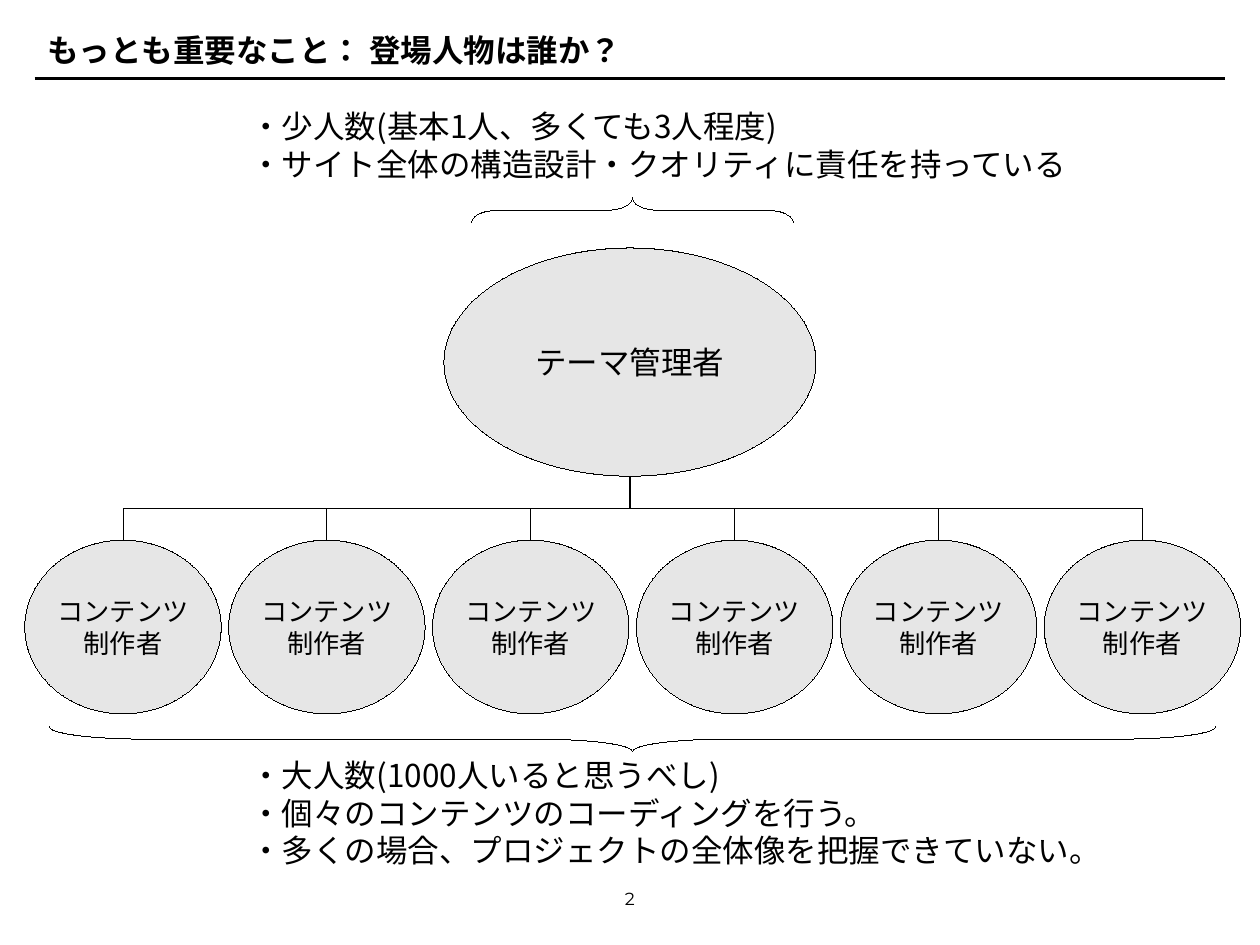
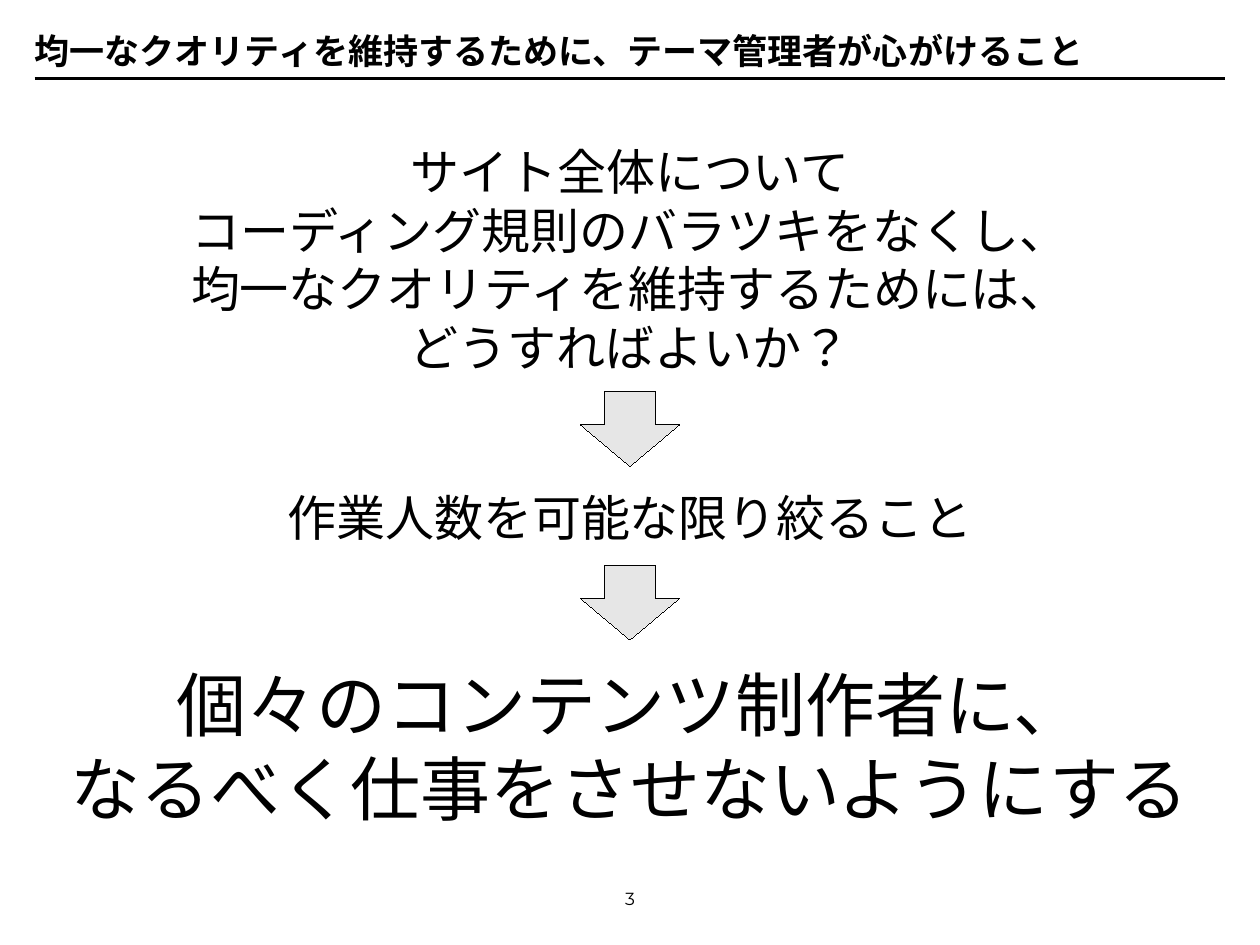
from lxml.etree import SubElement
from pptx import Presentation
from pptx.dml.color import RGBColor
from pptx.enum.lang import MSO_LANGUAGE_ID
from pptx.enum.shapes import MSO_CONNECTOR, MSO_SHAPE
from pptx.enum.text import MSO_ANCHOR, PP_ALIGN
from pptx.oxml.ns import qn
from pptx.util import Cm, Pt

# Shared look
BLACK = RGBColor(0x00, 0x00, 0x00)
GRAY = RGBColor(0xE6, 0xE6, 0xE6)
SANS = "Noto Sans CJK JP"
PAGE = "Montserrat"
MID = 12.7
PAD = {"margin_left": Cm(0.25), "margin_right": Cm(0.25),
       "margin_top": Cm(0.13), "margin_bottom": Cm(0.13)}
FLUSH = dict.fromkeys(PAD, 0)


def apply(item, values):
    for key, value in values.items():
        setattr(item, key, value)


def box(left, top, width, height):
    return Cm(left), Cm(top), Cm(width), Cm(height)


def write(frame, lines, size, align=PP_ALIGN.CENTER, face=SANS, bold=False,
          wrap=False, anchor=MSO_ANCHOR.MIDDLE, pad=PAD):
    apply(frame, {"word_wrap": wrap, "vertical_anchor": anchor, **pad})
    frame.text = "\n".join(lines)
    look = {"name": face, "size": Pt(size), "bold": bold,
            "language_id": MSO_LANGUAGE_ID.JAPANESE}
    for para in frame.paragraphs:
        para.alignment = align
        for run in para.runs:
            apply(run.font, look)
            run.font.color.rgb = BLACK
            SubElement(run.font._element, qn("a:ea"), typeface=face)


def label(slide, area, lines, size, **style):
    write(slide.shapes.add_textbox(*box(*area)).text_frame, lines, size, **style)


def stroke(item, width=0):
    item.line.color.rgb = BLACK
    # A hairline needs its zero width written out
    item.get_or_add_ln().set("w", str(int(Pt(width))))


def shape(slide, kind, area, fill=GRAY, turn=0, adjust=()):
    item = slide.shapes.add_shape(kind, *box(*area))
    item.rotation = turn
    item.shadow.inherit = False
    for index, value in enumerate(adjust):
        item.adjustments[index] = value
    if fill is None:
        item.fill.background()
    else:
        item.fill.solid()
        item.fill.fore_color.rgb = fill
    stroke(item)
    return item


def link(slide, kind, start, end, width=0):
    line = slide.shapes.add_connector(kind, *box(*start, *end))
    stroke(line, width)
    SubElement(line._element.spPr, qn("a:effectLst"))
    return line


def person(slide, area, text, size):
    item = shape(slide, MSO_SHAPE.OVAL, area)
    write(item.text_frame, [text], size)


def branch(slide, start, end):
    """Elbow that leaves downward, runs sideways and drops to its end."""
    (x1, y1), (x2, y2) = start, end
    mid_x, mid_y = (x1 + x2) / 2, (y1 + y2) / 2
    half_w, half_h = (y2 - y1) / 2, abs(x2 - x1) / 2
    line = link(slide, MSO_CONNECTOR.ELBOW, (mid_x - half_w, mid_y - half_h),
                (mid_x + half_w, mid_y + half_h))
    frame = line._element.spPr.find(qn("a:xfrm"))
    right = x2 > x1
    frame.set("rot", str((270 if right else 90) * 60000))
    if right:
        frame.set("flipH", "1")


def brace(slide, mid_y, span, turn, curve):
    depth = 0.5
    area = (12.75 - depth / 2, mid_y - span / 2, depth, span)
    shape(slide, MSO_SHAPE.LEFT_BRACE, area, None, turn, (curve, 0.5))


def page(deck, number, title, area, size, pad=PAD):
    slide = deck.slides.add_slide(deck.slide_layouts[6])
    link(slide, MSO_CONNECTOR.STRAIGHT, (0.7, 1.58), (24.7, 1.58), 2)
    label(slide, area, [title], size, align=PP_ALIGN.LEFT, bold=True,
          wrap=True, pad=pad)
    label(slide, (7.9, 17.78, 9.6, 0.74), [str(number)], 10, face=PAGE,
          wrap=True, anchor=MSO_ANCHOR.TOP)
    return slide


def cast(deck):
    slide = page(deck, 2, "もっとも重要なこと： 登場人物は誰か？",
                 (0.7, 0.33, 24, 1.37), 18)

    # Manager above, makers in an even row below
    top, foot, width = 10.89, 9.6, 3.96
    person(slide, (MID - 3.75, 5, 7.5, foot - 5), "テーマ管理者", 18)
    for index in range(6):
        left = 0.5 + index * 4.11
        branch(slide, (MID, foot), (left + width / 2, top))
        person(slide, (left, top, width, 3.5), "コンテンツ\v制作者", 15)

    # Braces and the notes they point to
    brace(slide, 4.24, 6.5, 90, 1.07)
    brace(slide, 14.9, 23.5, 270, 3.85)
    label(slide, (4.8, 2.03, 17.02, 1.78),
          ["・少人数(基本1人、多くても3人程度)",
           "・サイト全体の構造設計・クオリティに責任を持っている"],
          18, align=PP_ALIGN.LEFT)
    label(slide, (4.8, 15.11, 17.65, 2.54),
          ["・大人数(1000人いると思うべし)",
           "・個々のコンテンツのコーディングを行う。",
           "・多くの場合、プロジェクトの全体像を把握できていない。"],
          18, align=PP_ALIGN.LEFT)


def advice(deck):
    slide = page(deck, 3,
                 "均一なクオリティを維持するために、テーマ管理者が心がけること",
                 (0.7, 0.46, 24, 1.12), 20, FLUSH)

    # Question, answer and conclusion, each with room to spare
    steps = (
        (2.72, 18.6, 5, 28,
         ["サイト全体について", "コーディング規則のバラツキをなくし、",
          "均一なクオリティを維持するためには、", "どうすればよいか？"]),
        (9.7, 14.8, 1.45, 28, ["作業人数を可能な限り絞ること"]),
        (13.21, 23.4, 3.63, 40,
         ["個々のコンテンツ制作者に、", "なるべく仕事をさせないようにする"]),
    )
    for top, width, height, size, lines in steps:
        label(slide, (MID - width / 2, top, width, height), lines, size)

    # Arrows between the steps
    for top in (7.9, 11.4):
        shape(slide, MSO_SHAPE.DOWN_ARROW, (MID - 1, top, 2, 1.5),
              adjust=(0.51, 0.56))


def main():
    deck = Presentation()
    apply(deck, {"slide_width": Cm(25.4), "slide_height": Cm(19.05)})
    cast(deck)
    advice(deck)
    deck.save("out.pptx")


if __name__ == "__main__":
    main()
